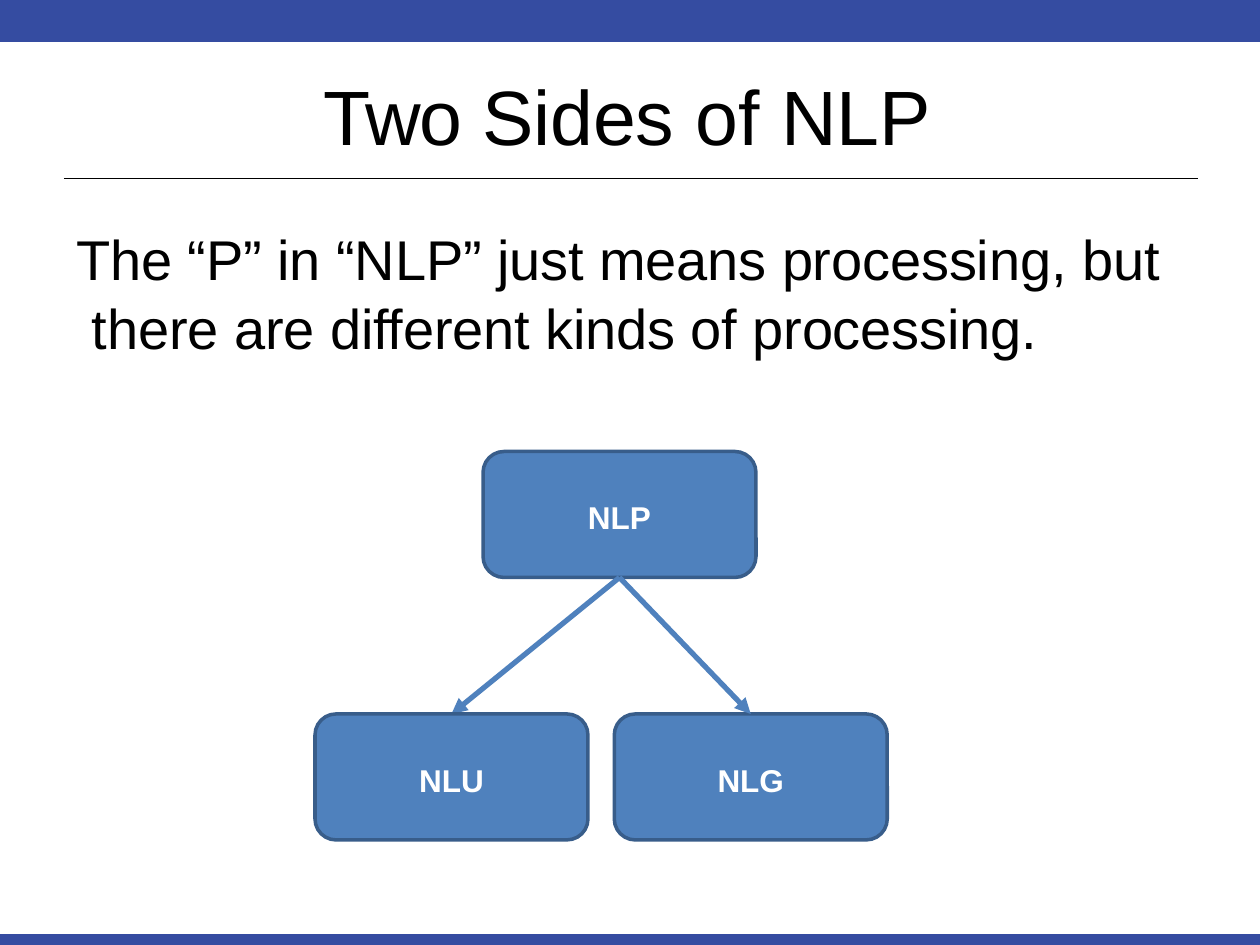
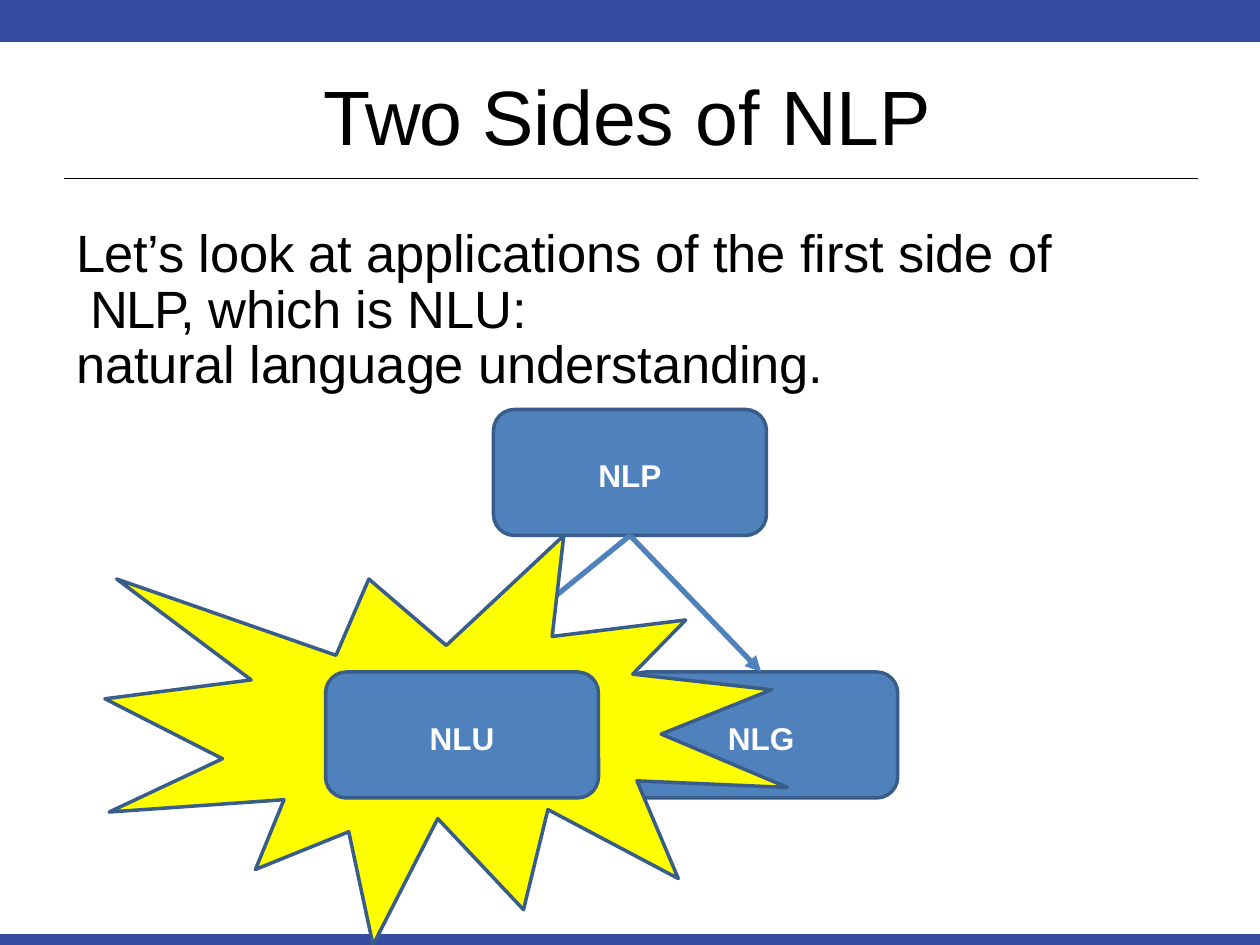
from lxml.etree import SubElement as Sub
from pptx import Presentation
from pptx.dml.color import RGBColor as Rgb
from pptx.enum.shapes import MSO_CONNECTOR as Link, MSO_SHAPE as Form
from pptx.enum.text import MSO_ANCHOR as Anchor, PP_ALIGN as Align
from pptx.oxml.ns import qn
from pptx.util import Pt

HUES = {"band": "354CA1", "box": "4F81BD", "edge": "385D8A",
        "burst": "FFFF00", "ink": "000000", "pale": "FFFFFF"}
FONT = "Arial"
WIDE, HIGH = 720, 540
BOX_W, BOX_H = 156, 72
TITLE = [("Two ", -0.8), ("Sides ", -0.1), ("of ", 0), ("NLP", -0.1)]


def hue(name):
    return Rgb.from_string(HUES[name])


class Deck:
    def __init__(self):
        self.show = Presentation()
        self.show.slide_width, self.show.slide_height = Pt(WIDE), Pt(HIGH)
        self.slide = None

    def page(self):
        self.slide = self.show.slides.add_slide(self.show.slide_layouts[6])
        self.line(0, 537, WIDE, 537, "band", 6)
        self.shape(Form.RECTANGLE, 0, 0, WIDE, 24, "band")
        self.line(36.5, 102, 684.5, 102, "ink", 1)

    def shape(self, form, x, y, w, h, fill, edge=None):
        item = self.slide.shapes.add_shape(form, Pt(x), Pt(y), Pt(w), Pt(h))
        item.shadow.inherit = False
        item.fill.solid()
        item.fill.fore_color.rgb = hue(fill)
        if edge:
            item.line.color.rgb = hue(edge)
            item.line.width = Pt(2)
        else:
            item.line.fill.background()
        return item

    def line(self, x1, y1, x2, y2, tone, width):
        item = self.slide.shapes.add_connector(
            Link.STRAIGHT, Pt(x1), Pt(y1), Pt(x2), Pt(y2))
        item.line.color.rgb = hue(tone)
        item.line.width = Pt(width)
        Sub(item._element.spPr, qn("a:effectLst"))
        return item

    def arrow(self, start, x, y):
        item = self.line(0, 0, x, y, "box", 3)
        item.begin_connect(start, 2)
        Sub(item.line._get_or_add_ln(), qn("a:tailEnd"), type="triangle")
        return item

    def runs(self, para, parts, size, tone="ink", bold=False):
        for text, gap in parts:
            run = para.add_run()
            run.text = text
            font = run.font
            font.name, font.size, font.bold = FONT, Pt(size), bold
            font.color.rgb = hue(tone)
            run._r.get_or_add_rPr().set("spc", str(round(gap * 100)))

    def inset(self, item, top):
        frame = item.text_frame
        frame.word_wrap = True
        frame.margin_left = frame.margin_right = frame.margin_bottom = 0
        frame.margin_top = Pt(top)
        return frame

    def text(self, x, y, w, h, paras, size, top=0):
        item = self.slide.shapes.add_textbox(Pt(x), Pt(y), Pt(w), Pt(h))
        frame = self.inset(item, top)
        for i, (parts, lead, above, hang) in enumerate(paras):
            para = frame.add_paragraph() if i else frame.paragraphs[0]
            para.line_spacing, para.space_before = lead, Pt(above)
            props = para._p.get_or_add_pPr()
            props.set("marL", str(Pt(1 + hang)))
            props.set("indent", str(Pt(-hang)))
            self.runs(para, parts, size)

    def title(self):
        self.text(184, 38, 356, 55, [(TITLE, 1.0, 1, 0)], 44, 1)

    def box(self, x, y, label):
        item = self.shape(Form.ROUNDED_RECTANGLE, x, y, BOX_W, BOX_H, "box", "edge")
        frame = self.inset(item, 3)
        frame.vertical_anchor = Anchor.MIDDLE
        para = frame.paragraphs[0]
        para.alignment = Align.CENTER
        self.runs(para, [(label, 0)], 18, "pale", True)
        return item

    def tree(self, x, y, burst=False):
        low, mid = y + 150, BOX_W / 2
        root = self.box(x + 96, y, "NLP")
        left = self.arrow(root, x + mid, low)
        nlg = self.box(x + 171, low, "NLG")
        if burst:
            self.shape(Form.EXPLOSION1, 60, 306, 390, 234, "burst", "edge")
        nlu = self.box(x, low, "NLU")
        left.end_connect(nlu, 0)
        self.arrow(root, x + 171 + mid, low).end_connect(nlg, 0)


def main():
    deck = Deck()

    deck.page()
    deck.title()
    deck.text(42.5, 127.5, 624, 79, [
        ([("The “P” ", -0.1), ("in ", 0),
          ("“NLP” just means processing, but there are different kinds of processing.", -0.1)],
         1.02, 0.3, 9)], 32)
    deck.tree(180, 258)

    deck.page()
    deck.title()
    deck.text(42.5, 124.5, 565, 102, [
        ([("Let’s ", -0.2), ("look at applications of the first side of ", -0.1),
          ("NLP, ", -1), ("which is NLU:", -0.1)], Pt(32), 5.4, 8.4),
        ([("natural language understanding.", -0.1)], Pt(31.6), 0, 0)], 30, 5)
    deck.tree(186, 234, True)

    deck.show.save("out.pptx")


if __name__ == "__main__":
    main()
